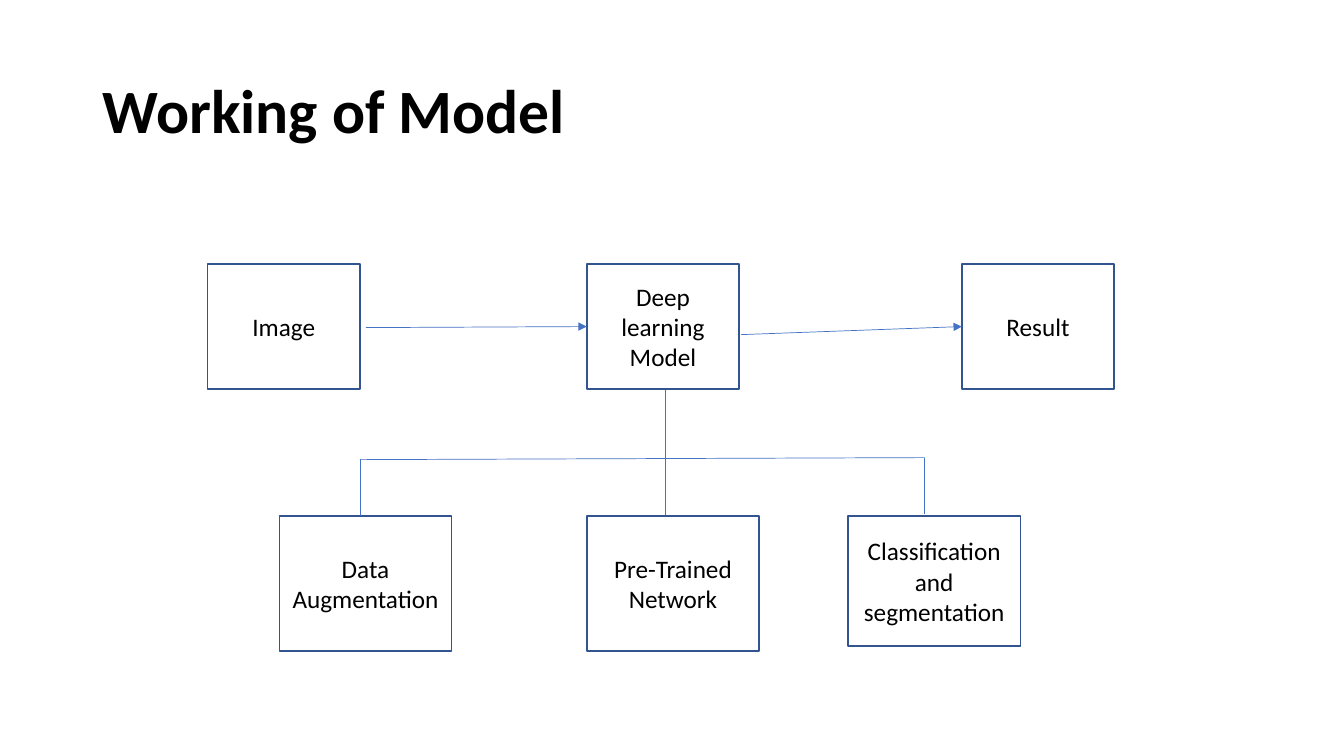
"""Build the slide that shows how the model works."""
from lxml.etree import SubElement
from pptx import Presentation
from pptx.dml.color import RGBColor
from pptx.enum.shapes import MSO_CONNECTOR, MSO_SHAPE
from pptx.enum.text import MSO_ANCHOR, PP_ALIGN
from pptx.oxml.ns import qn
from pptx.util import Inches, Pt

BLACK = RGBColor(0x00, 0x00, 0x00)
EDGE = RGBColor(0x32, 0x54, 0x91)
BLUE = RGBColor(0x44, 0x72, 0xC4)

TITLE = "Working of Model"
STEPS = [("Image", 2.06), ("Deep learning Model", 5.82), ("Result", 9.54)]
PARTS = [
    ("Data Augmentation", 2.77, 1.34),
    ("Pre-Trained Network", 5.82, 1.34),
    ("Classification and segmentation", 8.41, 1.29),
]
STEP_TOP, STEP_WIDE, STEP_HIGH = 2.62, 1.51, 1.24
PART_TOP, PART_WIDE = 5.12, 1.71
ARROWS = [
    ("Deep learning Model", (3.63, 3.25), (5.82, 3.24)),
    ("Result", (7.35, 3.32), (9.54, 3.24)),
]
LEFT, MID, RIGHT = 3.57, 6.6, 9.17
LINES = [
    ((LEFT, 4.56), (RIGHT, 4.54)),
    ((MID, 3.87), (MID, 4.55)),
    ((LEFT, 4.55), (LEFT, PART_TOP)),
    ((MID, 4.54), (MID, 5.11)),
    ((RIGHT, 4.54), (RIGHT, 5.1)),
]
HEAD_FONT = {"name": "Calibri", "size": Pt(44), "bold": True}
BOX_FONT = {"name": "Calibri", "size": Pt(18), "bold": False}


def format_text(frame, text, font, align):
    frame.text = text
    frame.word_wrap = True
    frame.vertical_anchor = MSO_ANCHOR.MIDDLE
    par = frame.paragraphs[0]
    par.alignment = align
    run = par.runs[0]
    for key, value in font.items():
        setattr(run.font, key, value)
    run.font.color.rgb = BLACK
    return par


def add_title(slide):
    title = slide.shapes.title
    place = {"left": 0.92, "top": 0.4, "width": 11.5, "height": 1.45}
    for key, value in place.items():
        setattr(title, key, Inches(value))
    par = format_text(title.text_frame, TITLE, HEAD_FONT, PP_ALIGN.LEFT)
    par.line_spacing = 0.9


def add_box(slide, text, *place):
    box = slide.shapes.add_shape(MSO_SHAPE.RECTANGLE, *map(Inches, place))
    box.shadow.inherit = False
    box.fill.background()
    box.line.color.rgb = EDGE
    box.line.width = Pt(1)
    format_text(box.text_frame, text, BOX_FONT, PP_ALIGN.CENTER)
    return box


def add_line(slide, start, end):
    line = slide.shapes.add_connector(
        MSO_CONNECTOR.STRAIGHT, *map(Inches, start + end))
    line.line.color.rgb = BLUE
    line.line.width = Pt(0.5)
    SubElement(line.element.spPr, qn("a:effectLst"))
    return line


def main():
    deck = Presentation()
    deck.slide_width, deck.slide_height = Inches(13.33), Inches(7.5)
    slide = deck.slides.add_slide(deck.slide_layouts[5])
    add_title(slide)
    steps = {
        text: add_box(slide, text, left, STEP_TOP, STEP_WIDE, STEP_HIGH)
        for text, left in STEPS
    }
    for text, left, high in PARTS:
        add_box(slide, text, left, PART_TOP, PART_WIDE, high)
    for goal, start, end in ARROWS:
        arrow = add_line(slide, start, end)
        arrow.end_connect(steps[goal], 1)
        SubElement(arrow.line._get_or_add_ln(), qn("a:tailEnd"), type="triangle")
    for start, end in LINES:
        add_line(slide, start, end)
    deck.save("out.pptx")


if __name__ == "__main__":
    main()
